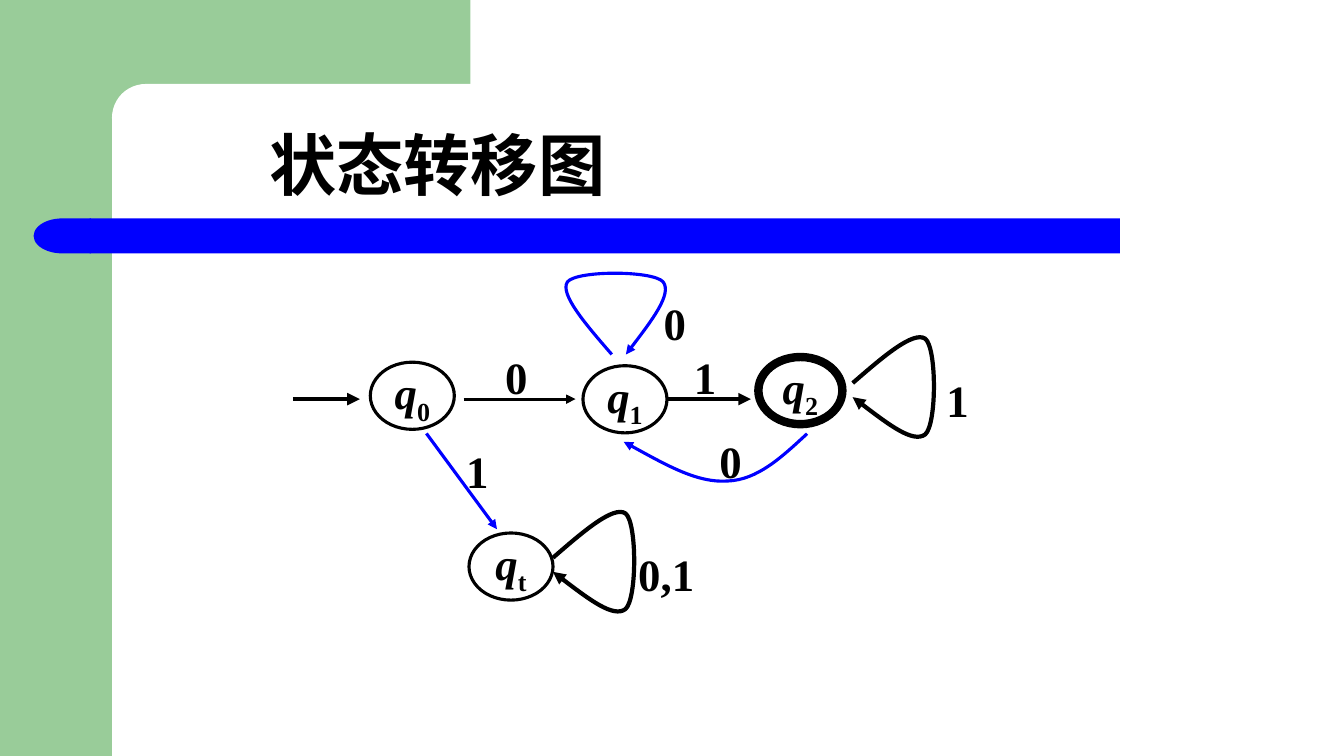
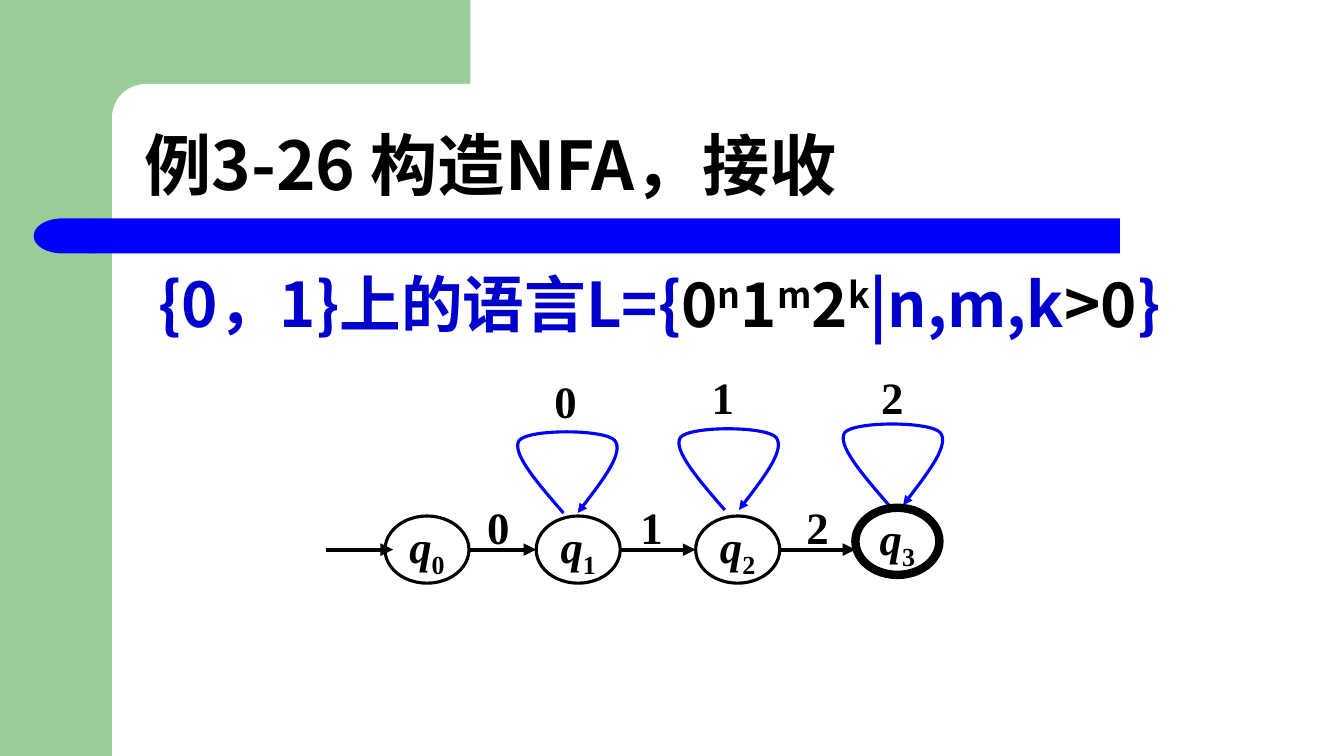
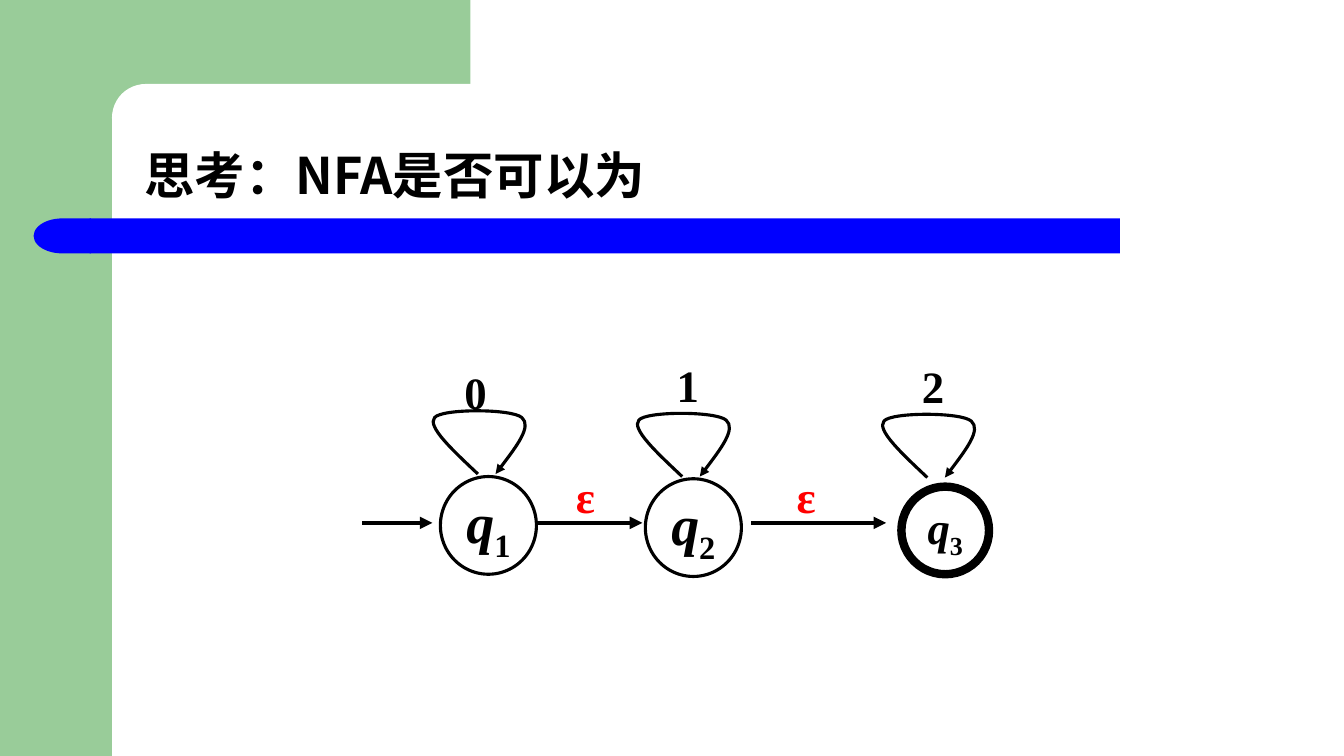
from dataclasses import dataclass, field
from typing import Any

from lxml.etree import SubElement
from pptx import Presentation
from pptx.dml.color import RGBColor
from pptx.enum.shapes import MSO_CONNECTOR, MSO_SHAPE
from pptx.enum.text import MSO_ANCHOR, MSO_AUTO_SIZE, PP_ALIGN
from pptx.oxml.ns import qn
from pptx.util import Pt

SANS, SERIF = "Noto Sans CJK SC", "Times New Roman"
BLACK, WHITE, BLUE, NAVY = "000000", "FFFFFF", "0000FF", "0000CC"
RED, GREEN = "FF0000", "99CC99"
Point = tuple[float, float]

UP_LOOP: list[Point] = [
    (-18.7, -21.6), (-37.4, -43.2), (-31.7, -51.8),
    (-25.2, -60.1), (29.5, -60.1), (36.7, -51.8),
    (43.2, -43.2), (26.6, -21.6), (10.1, 0),
]
SIDE_LOOP: list[Point] = [(-y, x) for x, y in UP_LOOP]
FLAT_LOOP: list[Point] = [
    (-18, -17), (-36.5, -34), (-31, -40.3),
    (-26, -46.8), (24.2, -46.8), (31.4, -40.3),
    (38.6, -34), (25.5, -17), (12.6, 0),
]
RETURN_ARC: list[Point] = [
    (-18, 16.6), (-35.3, 33.1), (-56.9, 33.8),
    (-78.5, 35.3), (-104.4, 20.2), (-131, 5.8),
]
ZERO_INSETS = dict.fromkeys(("margin_left", "margin_top", "margin_right", "margin_bottom"), 0)


@dataclass
class Span:
    """A stretch of text in one format."""
    text: str
    size: float = 32
    font: str = SERIF
    colour: str = BLACK
    italic: bool = False
    baseline: int = 0


@dataclass
class Band:
    """A plain filled shape of the shared background."""
    kind: MSO_SHAPE
    left: float
    top: float
    width: float
    height: float
    colour: str
    rotation: float = 0


@dataclass
class State:
    """A state of the automaton."""
    mark: str
    left: float
    top: float
    width: float = 60
    height: float = 48
    size: float = 32
    border: float = 2.25


@dataclass
class Label:
    """The symbol beside a transition."""
    text: str
    left: float
    top: float
    width: float = 18
    colour: str = BLACK


@dataclass
class Arrow:
    """A straight transition."""
    start: Point
    end: Point
    colour: str = BLACK
    width: float = 3


@dataclass
class Curve:
    """A curved transition whose controls are offsets from its start."""
    start: Point
    controls: list[Point]
    colour: str = BLUE
    width: float = 2.25


@dataclass
class Diagram:
    """The content of one slide."""
    title: list[Span]
    title_box: tuple[float, float, float, float] = (96, 60, 840, 90)
    body: list[Span] = field(default_factory=list)
    arrows: list[Arrow] = field(default_factory=list)
    curves: list[Curve] = field(default_factory=list)
    states: list[State] = field(default_factory=list)
    labels: list[Label] = field(default_factory=list)


BANDS = [
    Band(MSO_SHAPE.RECTANGLE, 0, 0, 80, 540, GREEN),
    Band(MSO_SHAPE.RECTANGLE, 72, 0, 264, 84, GREEN),
    Band(MSO_SHAPE.ROUNDED_RECTANGLE, 80, 60, 536, 48, WHITE),
    Band(MSO_SHAPE.RECTANGLE, 64, 156, 736, 25, BLUE),
    Band(MSO_SHAPE.FLOWCHART_DELAY, 24, 156, 41, 25, BLUE, 180),
]


def body_span(text: str, colour: str = BLACK, baseline: int = 0) -> Span:
    """Describe a stretch of the body line."""
    return Span(text, 44, SANS, colour, baseline=baseline)


DIAGRAMS = [
    Diagram(
        title=[Span("状态转移图", 48, SANS)],
        title_box=(185.2, 60, 630, 90),
        arrows=[
            Arrow((209.2, 285.1), (257, 285.1)),
            Arrow((331.2, 285.1), (411.1, 285.1), width=2.25),
            Arrow((476.6, 285.1), (536.4, 285.1)),
            Arrow((304.6, 309.6), (355, 378), BLUE, 2.25),
        ],
        curves=[
            Curve((437, 253.2), UP_LOOP),
            Curve((609.1, 273.6), SIDE_LOOP, BLACK, 3),
            Curve((395, 398.4), SIDE_LOOP, BLACK, 3),
            Curve((576.5, 309.8), RETURN_ARC),
        ],
        states=[
            State("0", 264.5, 258.7),
            State("1", 416.4, 261.2),
            State("2", 541.7, 255),
            State("t", 335, 380.7),
        ],
        labels=[
            Label("0", 359.8, 249.3),
            Label("1", 494.6, 249.3),
            Label("0", 455, 211.2, 54),
            Label("1", 663.1, 265.7, 41.8),
            Label("0", 512.8, 309.6),
            Label("0,1", 455, 390.2, 41.8),
            Label("1", 331.9, 316.5),
        ],
    ),
    Diagram(
        title=[Span("例3-26 构造NFA，接收", 48, SANS)],
        body=[
            body_span(" {0，1}上的语言L={", NAVY),
            body_span("0"), body_span("n", baseline=30),
            body_span("1"), body_span("m", baseline=30),
            body_span("2"), body_span("k", baseline=30),
            body_span("|n,m,k", NAVY), body_span(">0"), body_span("}", NAVY),
        ],
        arrows=[
            Arrow((start, 392.6), (end, 392.6))
            for start, end in ((233, 280.8), (334.8, 383), (442.8, 496.8), (557.3, 611))
        ],
        curves=[
            Curve(start, UP_LOOP) for start in ((402.5, 366.5), (517.7, 364.3), (635, 360.9))
        ],
        states=[
            State("0", 275, 368.6),
            State("1", 383, 368.6),
            State("2", 496.9, 368.6),
            State("3", 611, 362.7),
        ],
        labels=[
            Label("0", 347, 356.4),
            Label("1", 456.5, 356.4),
            Label("2", 575, 356.4),
            Label("0", 395, 266.4),
            Label("1", 507.4, 264.2),
            Label("2", 610.4, 264.2, 54),
        ],
    ),
    Diagram(
        title=[Span("思考：", 36), Span("NFA是否可以为", 36, SANS)],
        arrows=[
            Arrow((start, 373.5), (end, 373.5))
            for start, end in ((258.8, 308.9), (383.8, 458.8), (536.6, 633))
        ],
        curves=[
            Curve(start, FLAT_LOOP, BLACK)
            for start in ((341.4, 338.6), (487.3, 340.4), (662.4, 341.1))
        ],
        states=[
            State("1", 314.6, 340.4, 68.6, 69.8, 40),
            State("2", 461, 342, 68.6, 69.8, 40),
            State("3", 643.9, 347.6, 62.6, 62.6),
        ],
        labels=[
            Label("ε", 408.8, 334.8, 18.7, RED),
            Label("ε", 566.6, 334.8, 18.7, RED),
            Label("0", 330.3, 260.6, 18.7),
            Label("1", 469.4, 255.6, 43.9),
            Label("2", 644.6, 256.3, 43.9),
        ],
    ),
]
ACCEPTING_BORDER = 6
ACCEPTING = ("2", "3", "3")


def set_values(target: Any, values: dict[str, Any]) -> None:
    """Set each named attribute of the target."""
    for name, value in values.items():
        setattr(target, name, value)


def paint(fill: Any, colour: str) -> None:
    """Make a fill one solid colour."""
    fill.solid()
    fill.fore_color.rgb = RGBColor.from_string(colour)


def write_spans(frame: Any, spans: list[Span], **layout: Any) -> Any:
    """Write the spans as the only paragraph of a frame."""
    para = frame.paragraphs[0]
    set_values(para, {"space_before": Pt(0), **layout})
    for item in spans:
        span = para.add_run()
        span.text = item.text
        set_values(span.font, {
            "size": Pt(item.size), "name": item.font, "bold": True, "italic": item.italic,
        })
        paint(span.font.fill, item.colour)
        properties = span._r.get_or_add_rPr()
        SubElement(properties, qn("a:ea")).set("typeface", SANS)
        if item.baseline:
            properties.set("baseline", str(item.baseline * 1000))
    return para


def stroke(shape: Any, colour: str, width: float, arrow: bool = True) -> None:
    """Format an outline, with an arrowhead at its end if wanted."""
    paint(shape.line.fill, colour)
    shape.line.width = Pt(width)
    if arrow:
        line = shape.element.spPr.find(qn("a:ln"))
        SubElement(line, qn("a:tailEnd")).set("type", "triangle")


def add_bands(page: Any, master: Any) -> None:
    """Draw the shared bands and place them behind everything on the master."""
    for index, band in enumerate(BANDS):
        shape = page.shapes.add_shape(
            band.kind, Pt(band.left), Pt(band.top), Pt(band.width), Pt(band.height))
        if band.kind == MSO_SHAPE.ROUNDED_RECTANGLE:
            shape.adjustments[0] = 0.5
        paint(shape.fill, band.colour)
        shape.line.fill.background()
        shape.shadow.inherit = False
        shape.rotation = band.rotation
        shape.element.nvSpPr.cNvPr.set("id", str(100 + index))
        master.shapes.element.insert(2 + index, shape.element)


def place(box: Any, left: float, top: float, width: float, height: float) -> None:
    """Move and size a box."""
    set_values(box, {
        "left": Pt(left), "top": Pt(top), "width": Pt(width), "height": Pt(height),
    })


def fill_title(page: Any, diagram: Diagram) -> None:
    """Write the title of a slide."""
    box = page.shapes.title
    place(box, *diagram.title_box)
    set_values(box.text_frame, {
        "vertical_anchor": MSO_ANCHOR.BOTTOM, "auto_size": MSO_AUTO_SIZE.NONE, "word_wrap": True,
    })
    write_spans(box.text_frame, diagram.title, alignment=PP_ALIGN.LEFT, line_spacing=0.9)


def fill_body(page: Any, spans: list[Span]) -> None:
    """Write the body line without a bullet, on a hanging indent."""
    box = page.placeholders[1]
    place(box, 96, 186, 840, 294)
    box.text_frame.auto_size = MSO_AUTO_SIZE.NONE
    para = write_spans(box.text_frame, spans, alignment=PP_ALIGN.JUSTIFY)
    properties = para._p.get_or_add_pPr()
    properties.set("marL", str(Pt(27)))
    properties.set("indent", str(Pt(-27)))
    SubElement(properties, qn("a:buNone"))


def add_arrow(page: Any, arrow: Arrow) -> None:
    """Draw a straight transition."""
    ends = [Pt(value) for value in (*arrow.start, *arrow.end)]
    connector = page.shapes.add_connector(MSO_CONNECTOR.STRAIGHT, *ends)
    stroke(connector, arrow.colour, arrow.width)
    SubElement(connector.element.spPr, qn("a:effectLst"))


def bend(shape: Any) -> None:
    """Turn every three line segments of a freeform into one cubic curve."""
    outline = next(shape.element.iter(qn("a:path")))
    segments = outline.findall(qn("a:lnTo"))
    for first in range(0, len(segments), 3):
        cubic = SubElement(outline, qn("a:cubicBezTo"))
        for segment in segments[first:first + 3]:
            cubic.append(segment[0])
            outline.remove(segment)


def add_curve(page: Any, curve: Curve) -> None:
    """Draw a curved transition."""
    left, top = curve.start
    builder = page.shapes.build_freeform(Pt(left), Pt(top))
    controls = [(Pt(left + x), Pt(top + y)) for x, y in curve.controls]
    builder.add_line_segments(controls, close=False)
    shape = builder.convert_to_shape()
    bend(shape)
    shape.fill.background()
    shape.shadow.inherit = False
    stroke(shape, curve.colour, curve.width)


def add_state(page: Any, state: State) -> None:
    """Draw a state with its subscripted name."""
    shape = page.shapes.add_shape(
        MSO_SHAPE.OVAL, Pt(state.left), Pt(state.top), Pt(state.width), Pt(state.height))
    shape.fill.background()
    shape.shadow.inherit = False
    stroke(shape, BLACK, state.border, arrow=False)
    set_values(shape.text_frame, {"word_wrap": False, "vertical_anchor": MSO_ANCHOR.MIDDLE})
    name = [Span("q", state.size, italic=True), Span(state.mark, state.size, baseline=-25)]
    write_spans(shape.text_frame, name, alignment=PP_ALIGN.CENTER)


def add_label(page: Any, label: Label) -> None:
    """Write the symbol of a transition."""
    box = page.shapes.add_textbox(Pt(label.left), Pt(label.top), Pt(label.width), Pt(38.9))
    set_values(box.text_frame, {
        **ZERO_INSETS, "word_wrap": True, "vertical_anchor": MSO_ANCHOR.MIDDLE,
        "auto_size": MSO_AUTO_SIZE.SHAPE_TO_FIT_TEXT,
    })
    write_spans(box.text_frame, [Span(label.text, colour=label.colour)],
                alignment=PP_ALIGN.CENTER)


def main() -> None:
    """Build and save the deck."""
    deck = Presentation()
    set_values(deck, {"slide_width": Pt(960), "slide_height": Pt(540)})
    for number, (diagram, accepting) in enumerate(zip(DIAGRAMS, ACCEPTING)):
        page = deck.slides.add_slide(deck.slide_layouts[1 if diagram.body else 5])
        if number == 0:
            add_bands(page, deck.slide_master)
        fill_title(page, diagram)
        if diagram.body:
            fill_body(page, diagram.body)
        for state in diagram.states:
            if state.mark == accepting:
                state.border = ACCEPTING_BORDER
        for items, draw in ((diagram.arrows, add_arrow), (diagram.curves, add_curve),
                            (diagram.states, add_state), (diagram.labels, add_label)):
            for item in items:
                draw(page, item)
    deck.save("out.pptx")


if __name__ == "__main__":
    main()
